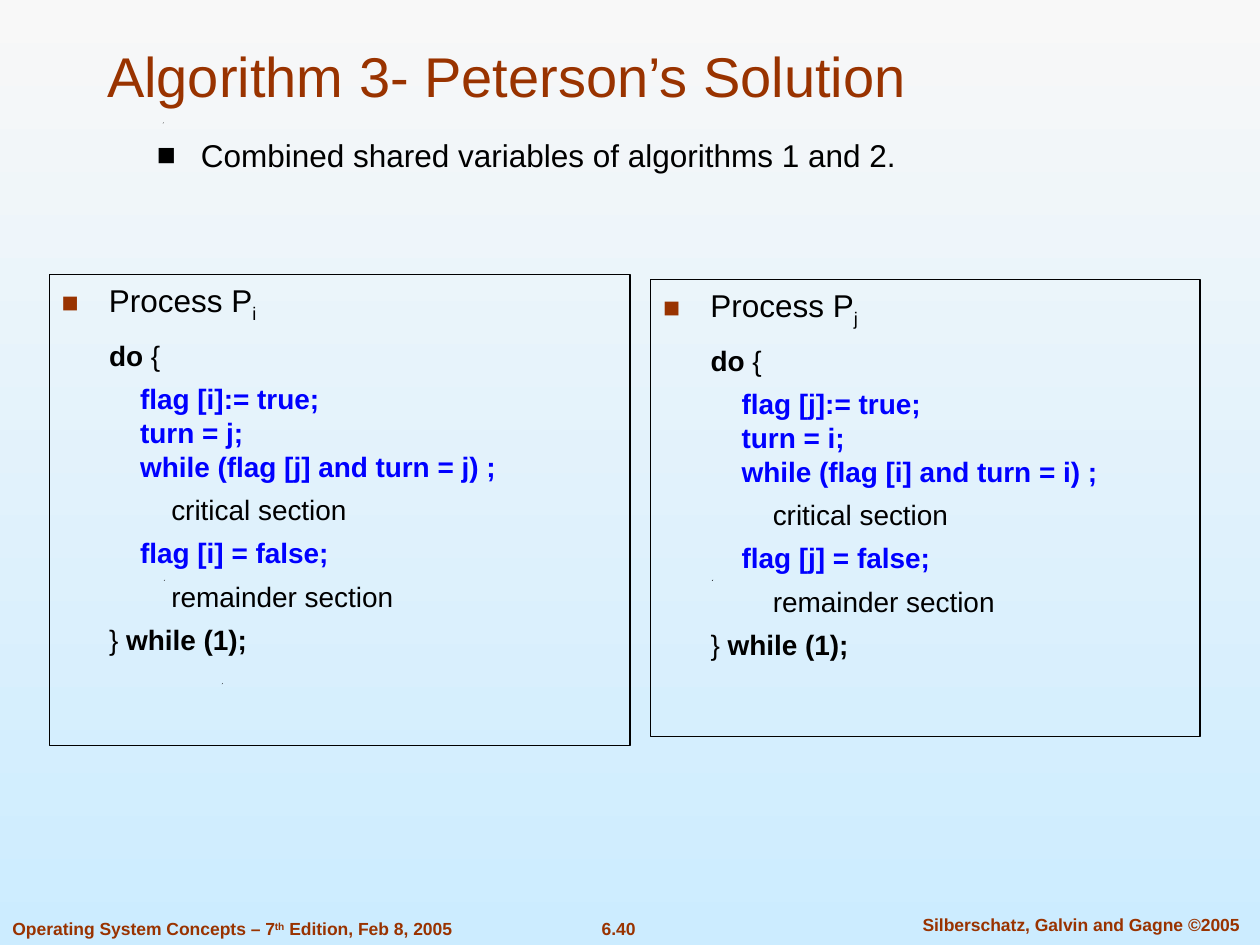
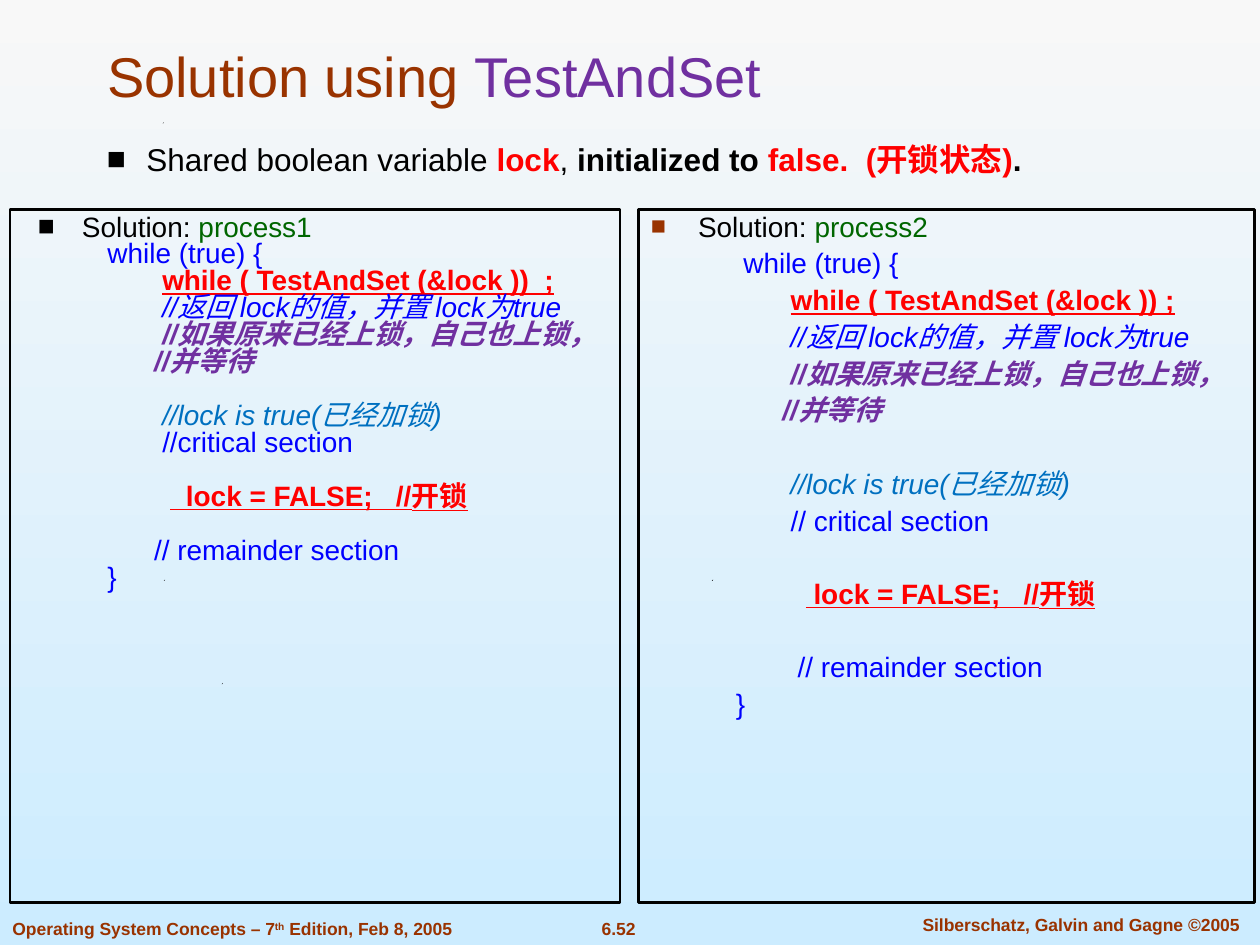
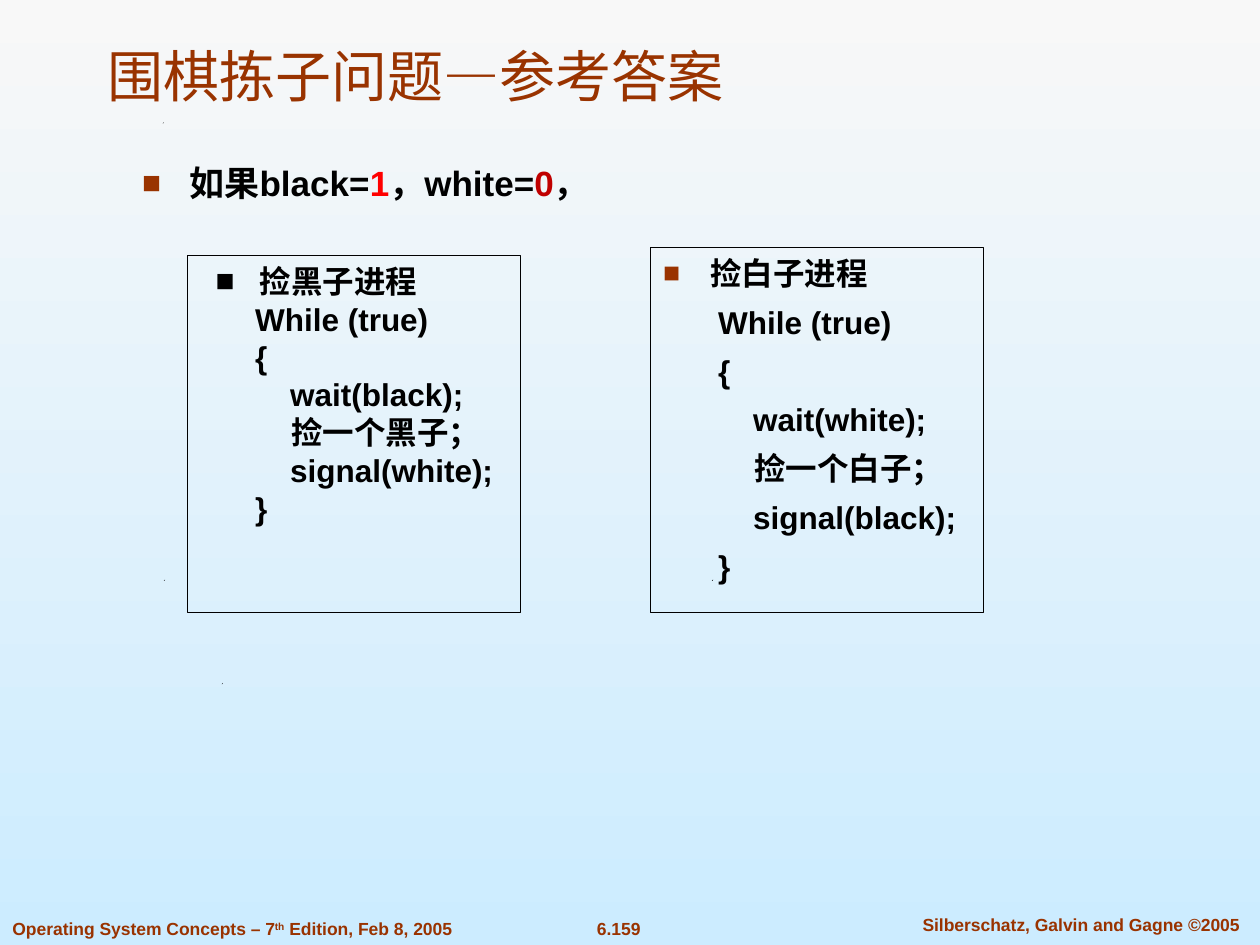
from pptx import Presentation
from pptx.dml.color import RGBColor
from pptx.enum.shapes import MSO_SHAPE as Shape
from pptx.enum.text import MSO_ANCHOR as Anchor, PP_ALIGN as Align
from pptx.oxml.ns import qn
from pptx.util import Inches, Pt
from lxml import etree

C = {"top": "F8F8F8", "bottom": "CCECFF", "rust": "993300", "black": "000000",
     "blue": "0000FF", "red": "FF0000", "crimson": "C00000", "purple": "7030A0",
     "green": "006600", "sky": "0070C0"}
FONT = "Arial"
CELL = Inches(10) / 100       # the slide is a grid of 100 columns by 75 rows
LINE, GAP = 1.2, 0.35         # line height and paragraph gap, as shares of text size
TIGHT = 0.8

STYLES = {
    "plain": {},
    "bold": {"bold": True},
    "sub": {"baseline": -25},
    "sup": {"baseline": 30, "bold": True, "color": "rust"},
    "footer": {"bold": True, "color": "rust"},
    "title": {"bold": False, "color": "rust"},
    "title accent": {"bold": False, "color": "purple"},
    "name": {"color": "green"},
    "code": {"color": "blue"},
    "code bold": {"color": "blue", "bold": True},
    "alert": {"color": "red", "bold": True},
    "zero": {"color": "crimson", "bold": True},
    "key": {"color": "red", "bold": True, "underline": True},
    "note": {"color": "blue", "italic": True},
    "note bold": {"color": "purple", "bold": True, "italic": True},
    "state": {"color": "sky", "italic": True},
}
# margin and hanging distance in columns, bullet colour and size in percent
BULLETS = {"main": (4.73, 3.5, "black", 100), "side": (3.75, 3.75, "rust", 90),
           "lead": (3.13, 3.13, "black", 100)}
SPECKS = [(17.6, 54.2), (13, 46), (56.5, 46), (12.9, 9.7)]


def rgb(name):
    return RGBColor.from_string(C[name])


def place(*cells):
    return [round(c * CELL) for c in cells]


def add_runs(p, runs, size):
    for text, style in runs:
        fmt = {"color": "black", **STYLES[style]}
        color, baseline = fmt.pop("color"), fmt.pop("baseline", 0)
        for i, piece in enumerate(text.split("\n")):
            if i:
                p.add_line_break()
            r = p.add_run()
            r.text = piece
            for key, value in {"name": FONT, "size": Pt(size), **fmt}.items():
                setattr(r.font, key, value)
            r.font.color.rgb = rgb(color)
            if baseline:
                r.font._element.set("baseline", str(baseline * 1000))


def set_indent(p, margin, hang=0, color=None, percent=100):
    pPr = p._p.get_or_add_pPr()
    pPr.set("marL", str(round(margin * CELL)))
    pPr.set("indent", str(round(-hang * CELL)))
    if color:
        clr = etree.SubElement(pPr, qn("a:buClr"))
        etree.SubElement(clr, qn("a:srgbClr"), val=C[color])
        etree.SubElement(pPr, qn("a:buSzPct"), val=str(percent * 1000))
        etree.SubElement(pPr, qn("a:buFont"), typeface=FONT)
        etree.SubElement(pPr, qn("a:buChar"), char="■")


def write(shape, paras, size, tight=1, align=Align.LEFT, anchor=Anchor.TOP, inset=0.05):
    """Fill a shape with paragraphs: (indent or bullet name, space before, runs[, size])."""
    tf = shape.text_frame
    tf.word_wrap, tf.vertical_anchor = True, anchor
    tf.margin_top = Inches(inset)
    tf.margin_right = 0 if tight < 1 else Inches(0.1)
    for i, (indent, before, runs, *own_size) in enumerate(paras):
        points = own_size[0] if own_size else size
        p = tf.add_paragraph() if i else tf.paragraphs[0]
        p.alignment = align
        p.line_spacing = Pt(round(points * LINE * tight, 1))
        p.space_before = Pt(round(before, 1))
        set_indent(p, *(BULLETS[indent] if indent in BULLETS else (indent,)))
        add_runs(p, runs, points)


def add_text(s, cells, paras, size, **options):
    write(s.shapes.add_textbox(*place(*cells)), paras, size, **options)


def add_panel(s, cells, paras, size, border=0.75, **options):
    panel = s.shapes.add_shape(Shape.RECTANGLE, *place(*cells))
    panel.shadow.inherit = False
    panel.fill.background()
    panel.line.color.rgb = rgb("black")
    panel.line.width = Pt(border)
    write(panel, paras, size, **options)


def add_speck(s, col, row):
    builder = s.shapes.build_freeform(*place(col, row + 0.1))
    builder.add_line_segments([place(col + 0.1, row), place(col + 0.05, row + 0.1)])
    speck = builder.convert_to_shape()
    speck.shadow.inherit = False
    speck.fill.solid()
    speck.fill.fore_color.rgb = rgb("black")
    speck.line.fill.background()


def new_slide(prs, title_runs, number):
    s = prs.slides.add_slide(prs.slide_layouts[5])
    title = s.shapes.title
    title.left, title.top, title.width, title.height = place(7.5, 2.43, 88.3, 6.7)
    write(title, [(0, 0, title_runs)], 32, anchor=Anchor.BOTTOM)
    for col, row in SPECKS:
        add_speck(s, col, row)
    footers = [
        ((0, 72.37, 41.1, 2.7), Align.LEFT,
         [("Operating System Concepts – 7", "footer"), ("th", "sup"),
          (" Edition, Feb 8, 2005", "footer")]),
        ((45.9, 72.37, 6.4, 2.7), Align.CENTER, [(number, "footer")]),
        ((70.95, 72.07, 29.7, 2.7), Align.CENTER,
         [("Silberschatz, Galvin and Gagne ©2005", "footer")]),
    ]
    for cells, align, runs in footers:
        add_text(s, cells, [(0, 0, runs)], 10, align=align)
    return s


def peterson(me, other):
    gap, base, step = 16 * GAP, 3.77, 2.47
    return [
        ("side", 0, [("Process P", "plain"), (me, "sub")], 18),
        (base, 1.5 * gap, [("do", "bold"), (" {", "plain")]),
        (base + step, gap, [(f"flag [{me}]:= true;\nturn = {other};\n"
                             f"while (flag [{other}] and turn = {other}) ;", "code bold")]),
        (base + 2 * step, gap, [("critical section", "plain")]),
        (base + step, gap, [(f"flag [{me}] = false;", "code bold")]),
        (base + 2 * step, gap, [("remainder section", "plain")]),
        (base, gap, [("} ", "plain"), ("while (1);", "bold")]),
    ]


def test_and_set(process, bullet, gap, loop, critical, lock, lock_at, remainder_at):
    blank = 16 * LINE * TIGHT + 2 * gap
    return [
        (bullet, 0, [("Solution: ", "plain"), (process, "name")]),
        (loop, gap, [("while (true) {", "code")]),
        (11.1, gap, [(f"while ( TestAndSet (&lock )){lock[0]};", "key")]),
        (11.1, gap, [("//返回 lock的值，并置 lock为true", "note")]),
        (11.1, gap, [("//如果原来已经上锁，自己也上锁，", "note bold")]),
        (10.45, gap, [("//并等待", "note bold")]),
        (11.1, blank, [("//lock is true(已经加锁)", "state")]),
        (11.1, gap, [(critical, "code")]),
        (lock_at, blank, [(f"{lock[1]}lock = FALSE;   //开锁", "key")]),
        (remainder_at, blank, [("// remainder section", "code")]),
        (6.75, gap, [("}", "code")]),
    ]


def picking(color, own, other, bullet, gap):
    lines = [(4.37, "While (true)"), (4.37, "{"), (7.15, f"wait({own});"),
             (7.22, f"捡一个{color}子；"), (7.15, f"signal({other});"), (4.37, "}")]
    return [(bullet, 0, [(f"捡{color}子进程", "bold")])] + [
        (indent, gap, [(text, "bold")]) for indent, text in lines]


def peterson_slide(prs):
    s = new_slide(prs, [("Algorithm 3- Peterson’s Solution", "title")], "6.40")
    add_text(s, (10.23, 10.3, 76.9, 5.1), [
        ("main", 0, [("Combined shared variables of algorithms 1 and 2.", "plain")])], 18)
    add_panel(s, (3.9, 21.8, 46.1, 37.35), peterson("i", "j"), 16, inset=0.09)
    add_panel(s, (51.64, 22.2, 43.6, 36.25), peterson("j", "i"), 16, inset=0.09)


def test_and_set_slide(prs):
    s = new_slide(prs, [("Solution using ", "title"), ("TestAndSet", "title accent")],
                  "6.52")
    add_text(s, (7.5, 11.2, 88.3, 3.4), [
        ("lead", 0, [("Shared boolean variable ", "plain"), ("lock", "alert"),
                     (", ", "plain"), ("initialized to", "bold"),
                     (" false.  (开锁状态)", "alert"), (".", "bold")])], 18, tight=TIGHT)
    left = test_and_set("process1", "main", 0, 6.75, "//critical section",
                        ("  ", "  "), 11.75, 10.45)
    right = test_and_set("process2", "side", 16 * GAP, 7.35, "// critical section",
                         (" ", " "), 12.3, 11.65)
    for cells, paras in (((0.8, 16.63, 48.4, 55), left),
                         ((50.67, 16.63, 48.9, 55), right)):
        add_panel(s, cells, paras, 16, border=1.5, tight=TIGHT)


def go_stones_slide(prs):
    s = new_slide(prs, [("围棋拣子问题—参考答案", "title")], "6.159")
    add_text(s, (10.3, 12.3, 81.2, 6.7), [
        ("side", 0, [("如果black=", "bold"), ("1", "alert"), ("，white=", "bold"),
                     ("0", "zero"), ("，", "bold")])], 20)
    add_panel(s, (14.9, 20.3, 26.4, 28.3), picking("黑", "black", "white", "main", 0), 18)
    add_panel(s, (51.65, 19.66, 26.4, 28.94),
              picking("白", "white", "black", "side", 18 * GAP), 18)


def main():
    prs = Presentation()
    prs.slide_width, prs.slide_height = Inches(10), Inches(7.5)
    fill = prs.slide_master.background.fill
    fill.gradient()
    fill.gradient_angle = 270
    for stop, name in zip(fill.gradient_stops, ("top", "bottom")):
        stop.color.rgb = rgb(name)
    peterson_slide(prs)
    test_and_set_slide(prs)
    go_stones_slide(prs)
    prs.save("out.pptx")


if __name__ == "__main__":
    main()
